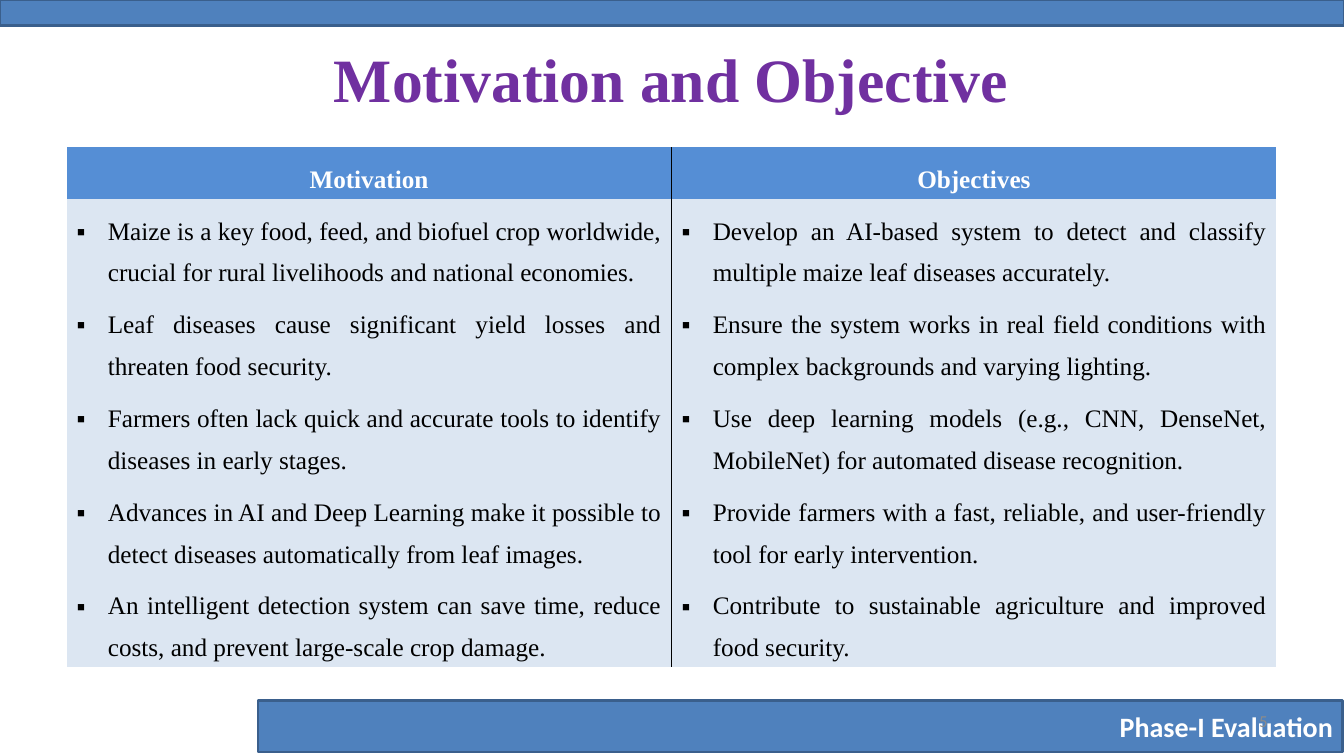
from lxml import etree
from pptx import Presentation
from pptx.dml.color import RGBColor
from pptx.enum.shapes import MSO_SHAPE as Preset
from pptx.enum.text import MSO_ANCHOR as Anchor, PP_ALIGN as Align
from pptx.oxml import parse_xml
from pptx.oxml.ns import nsdecls, qn
from pptx.util import Inches, Pt

SERIF = "Times New Roman"
NO_GRID_STYLE = "{2D5ABB26-0587-4C30-8999-92F81FD0307C}"
HEADINGS = ("Motivation", "Objectives")
POINTS = [
    ("Maize is a key food, feed, and biofuel crop worldwide, crucial for rural livelihoods and national economies.",
     "Develop an AI-based system to detect and classify multiple maize leaf diseases accurately."),
    ("Leaf diseases cause significant yield losses and threaten food security.",
     "Ensure the system works in real field conditions with complex backgrounds and varying lighting."),
    ("Farmers often lack quick and accurate tools to identify diseases in early stages.",
     "Use deep learning models (e.g., CNN, DenseNet, MobileNet) for automated disease recognition."),
    ("Advances in AI and Deep Learning make it possible to detect diseases automatically from leaf images.",
     "Provide farmers with a fast, reliable, and user-friendly tool for early intervention."),
    ("An intelligent detection system can save time, reduce costs, and prevent large-scale crop damage.",
     "Contribute to sustainable agriculture and improved food security."),
]


def color(hex_code):
    """Turn a hex string into a colour."""
    return RGBColor.from_string(hex_code)


def write(frame, text, size=18, font=SERIF, ink="000000", bold=False,
          align=Align.CENTER, spacing=1.0):
    """Write one formatted paragraph and return it."""
    frame.word_wrap = True
    paragraph = frame.paragraphs[0]
    paragraph.alignment = align
    paragraph.line_spacing = spacing
    run = paragraph.add_run()
    run.text = text
    run.font.size = Pt(size)
    run.font.name = font
    run.font.bold = bold
    run.font.color.rgb = color(ink)
    return paragraph


def add_bar(slide, left, top, width, height):
    """Draw a blue band and return it."""
    bar = slide.shapes.add_shape(Preset.RECTANGLE, Inches(left), Inches(top),
                                 Inches(width), Inches(height))
    bar.shadow.inherit = False
    bar.fill.solid()
    bar.fill.fore_color.rgb = color("4F81BD")
    bar.line.color.rgb = color("3A5F8C")
    bar.line.width = Pt(2)
    return bar


def add_label(slide, left, top, width, height, text, **style):
    """Place a vertically centred line of text."""
    label = slide.shapes.add_textbox(Inches(left), Inches(top), Inches(width), Inches(height))
    label.text_frame.vertical_anchor = Anchor.MIDDLE
    write(label.text_frame, text, **style)


def add_footer(slide, left, top, width, height):
    """Draw the footer band with its caption and page number."""
    footer = add_bar(slide, left, top, width, height)
    footer.text_frame.vertical_anchor = Anchor.MIDDLE
    write(footer.text_frame, "Phase-I Evaluation", size=20, font="Calibri",
          ink="FFFFFF", bold=True, align=Align.RIGHT)
    add_label(slide, left + 7, top, 3.11, 0.4, "5", size=12, font="Calibri",
              ink="8C8C8C", align=Align.RIGHT)


def add_bullet(paragraph):
    """Give a paragraph a hanging square bullet."""
    properties = paragraph._p.get_or_add_pPr()
    properties.set("marL", str(Inches(0.31)))
    properties.set("indent", str(-Inches(0.31)))
    etree.SubElement(properties, qn("a:buFont")).set("typeface", "Arial")
    etree.SubElement(properties, qn("a:buChar")).set("char", "▪")


def add_border(cell, side):
    """Draw a thin black border on one side of a cell."""
    cell._tc.get_or_add_tcPr().insert(0, parse_xml(
        f'<a:{side} {nsdecls("a")} w="12700"><a:solidFill><a:srgbClr val="000000"/>'
        f'</a:solidFill></a:{side}>'))


def add_comparison(slide, left, top, width, header_height, row_height):
    """Build the table that sets motivation beside objectives."""
    rows = [HEADINGS, *POINTS]
    height = header_height + row_height * len(POINTS)
    table = slide.shapes.add_table(len(rows), len(HEADINGS), Inches(left), Inches(top),
                                   Inches(width), Inches(height)).table
    table.horz_banding = False
    table._tbl.tblPr.find(qn("a:tableStyleId")).text = NO_GRID_STYLE
    for column in table.columns:
        column.width = Inches(width / len(HEADINGS))
    for row_number, texts in enumerate(rows):
        heading = row_number == 0
        table.rows[row_number].height = Inches(header_height if heading else row_height)
        for column_number, text in enumerate(texts):
            cell = table.cell(row_number, column_number)
            cell.vertical_anchor = Anchor.MIDDLE
            cell.margin_top = cell.margin_bottom = 0
            cell.fill.solid()
            cell.fill.fore_color.rgb = color("558ED5" if heading else "DCE6F2")
            add_border(cell, "lnL" if column_number else "lnR")
            if heading:
                write(cell.text_frame, text, ink="FFFFFF", bold=True, spacing=1.5)
            else:
                add_bullet(write(cell.text_frame, text, align=Align.JUSTIFY, spacing=1.5))


def main():
    """Build and save the slide."""
    deck = Presentation()
    deck.slide_width, deck.slide_height = Inches(13.33), Inches(7.5)
    slide = deck.slides.add_slide(deck.slide_layouts[6])
    add_bar(slide, 0, 0, 13.33, 0.25)
    add_footer(slide, 2.56, 6.95, 10.76, 0.51)
    add_label(slide, 2.16, 0.3, 9, 0.95, "Motivation and Objective",
              size=44, ink="7030A0", bold=True)
    add_comparison(slide, 0.66, 1.46, 12, 0.51, 0.93)
    deck.save("out.pptx")


if __name__ == "__main__":
    main()
